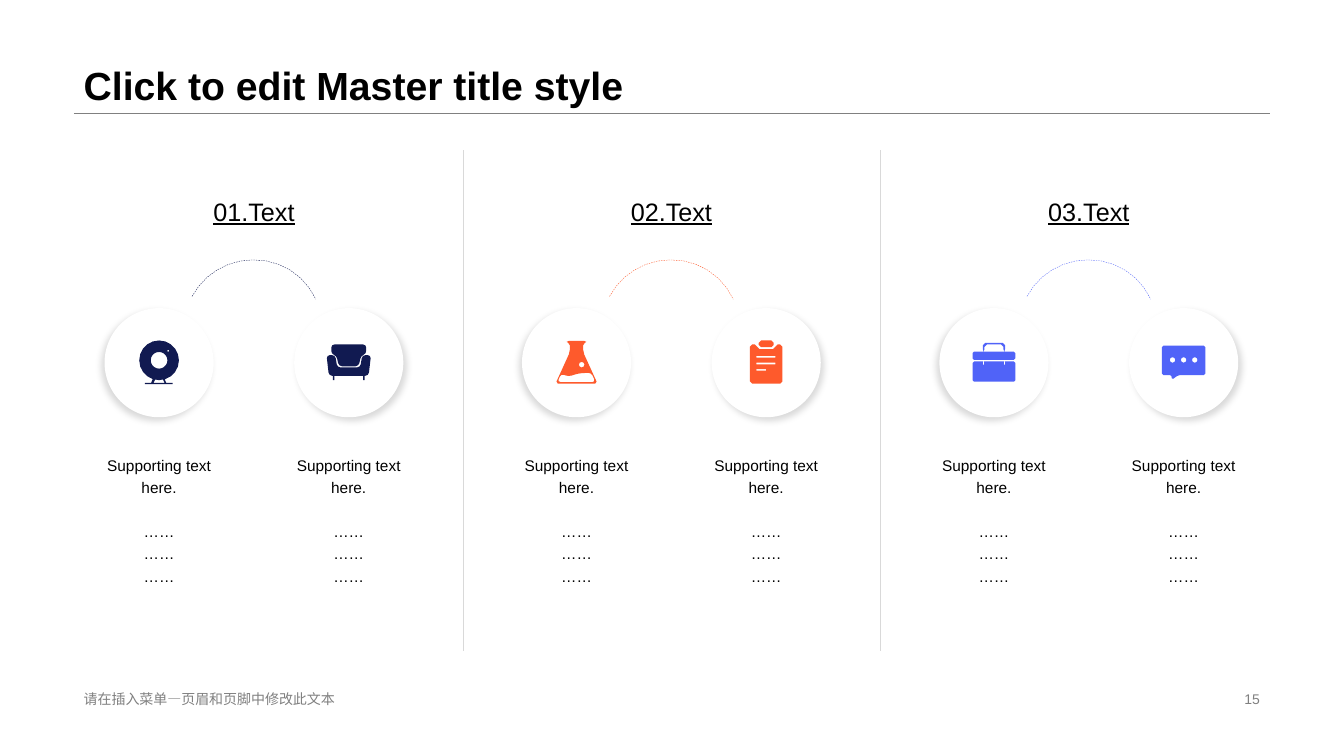
from dataclasses import dataclass
from math import dist

from lxml import etree
from pptx import Presentation
from pptx import util as u
from pptx.dml import color
from pptx.enum import dml, shapes, text
from pptx.oxml import ns

Spot = tuple[float, float]


@dataclass
class Loop:
    """Closed outline with rounded corners, in cm from the disc centre."""
    spots: list[Spot]
    r: float = 0.0


@dataclass
class Part:
    """One third of the slide: heading, colour and two icons."""
    head: str
    hue: str
    icons: list[list[Loop]]


def box(x: float, y: float, right: float, low: float, r: float = 0.0) -> Loop:
    return Loop([(x, y), (right, y), (right, low), (x, low)], r)


def ring(x: float, y: float, r: float) -> Loop:
    return box(x - r, y - r, x + r, y + r, r)


# Icons
BODY = (0, -0.06)
CAMERA = [
    ring(*BODY, 0.5), ring(*BODY, 0.21), ring(0.23, -0.3, 0.03),
    Loop([(-0.16, 0.41), (-0.2, 0.51), (-0.36, 0.51), (-0.36, 0.54),
          (0.34, 0.54), (0.34, 0.51), (0.18, 0.51), (0.14, 0.41),
          (0.1, 0.43), (0.14, 0.51), (-0.14, 0.51), (-0.1, 0.43)]),
]
SOFA = [
    Loop([(-0.56, -0.19), (-0.34, -0.19), (-0.29, 0.12), (0.29, 0.12),
          (0.34, -0.19), (0.56, -0.19), (0.5, 0.33), (-0.5, 0.33)], 0.08),
    Loop([(-0.44, -0.46), (0.44, -0.46), (0.44, -0.22), (0.31, -0.18),
          (0.25, 0.09), (-0.25, 0.09), (-0.31, -0.18), (-0.44, -0.22)], 0.08),
    box(-0.4, 0.33, -0.36, 0.44), box(0.36, 0.33, 0.4, 0.44),
]
FLASK = [
    Loop([(-0.25, -0.55), (0.25, -0.55), (0.25, -0.5), (0.17, -0.5),
          (0.17, -0.26), (0.53, 0.53), (-0.53, 0.53), (-0.17, -0.26),
          (-0.17, -0.5), (-0.25, -0.5)], 0.06),
    Loop([(-0.39, 0.28), (-0.2, 0.35), (0.05, 0.27), (0.37, 0.25),
          (0.48, 0.49), (-0.48, 0.49)], 0.08),
    ring(0.13, 0.05, 0.07),
]
CLIPBOARD = [
    Loop([(-0.41, -0.46), (-0.23, -0.46), (-0.23, -0.34), (0.23, -0.34),
          (0.23, -0.46), (0.41, -0.46), (0.41, 0.53), (-0.41, 0.53)], 0.06),
    box(-0.19, -0.56, 0.19, -0.39, 0.06),
    box(-0.25, -0.17, 0.23, -0.13), box(-0.25, 0, 0.23, 0.04),
    box(-0.25, 0.16, 0, 0.2),
]
CASE = [
    box(-0.54, -0.03, 0.54, 0.48, 0.04), box(-0.54, -0.28, 0.54, -0.07, 0.04),
    box(-0.28, -0.03, -0.25, 0.05), box(0.25, -0.03, 0.28, 0.05),
    Loop([(-0.28, -0.28), (-0.28, -0.5), (0.28, -0.5), (0.28, -0.28),
          (0.24, -0.28), (0.24, -0.46), (-0.24, -0.46), (-0.24, -0.28)], 0.06),
]
CHAT = [
    Loop([(-0.55, -0.43), (0.55, -0.43), (0.55, 0.31), (-0.13, 0.31),
          (-0.3, 0.43), (-0.3, 0.31), (-0.55, 0.31)], 0.04),
    *[ring(x, -0.07, 0.07) for x in (-0.28, 0, 0.28)],
]
PARTS = [
    Part("01.Text", "111A51", [CAMERA, SOFA]),
    Part("02.Text", "FE5A2C", [FLASK, CLIPBOARD]),
    Part("03.Text", "5063F8", [CASE, CHAT]),
]

# Layout in cm
LEFT, RIGHT = 1.86, 32.0
MID, STEP = 6.4, 10.52
PAIR = 2.39
DISC_Y, DISC = 9.14, 2.75
ARC = [[(-1.56, 7.47), (-1.26, 6.91), (-0.67, 6.55), (-0.03, 6.55)],
       [(-0.03, 6.55), (0.65, 6.53), (1.28, 6.93), (1.56, 7.54)]]

deck = Presentation()
deck.slide_width, deck.slide_height = u.Cm(33.87), u.Cm(19.05)
slide = deck.slides.add_slide(deck.slide_layouts[6])
tree = slide.shapes


def rgb(code: str) -> color.RGBColor:
    return color.RGBColor.from_string(code)


def apply(item: object, form: dict) -> None:
    for key, val in form.items():
        setattr(item, key, val)


# Curves
def blend(a: Spot, b: Spot, t: float) -> Spot:
    return a[0] + (b[0] - a[0]) * t, a[1] + (b[1] - a[1]) * t


def curve(ends: list[Spot], count: int) -> list[Spot]:
    spots = []
    for i in range(count + 1):
        row = ends
        while len(row) > 1:
            row = [blend(a, b, i / count) for a, b in zip(row, row[1:])]
        spots += row
    return spots


def soften(loop: Loop) -> list[Spot]:
    if not loop.r:
        return loop.spots
    count = 1 if loop.r < 0.07 else 2 if loop.r < 0.2 else 5
    spots = []
    for i, tip in enumerate(loop.spots):
        ends = loop.spots[i - 1], loop.spots[(i + 1) % len(loop.spots)]
        a, b = (blend(tip, end, min(loop.r / dist(tip, end), 0.5)) for end in ends)
        spots += curve([a, blend(a, tip, 0.55), blend(b, tip, 0.55), b], count)
    return [b for a, b in zip(spots[-1:] + spots, spots) if dist(a, b) > 0.001]


def trace(runs: list[list[Spot]], x: float, y: float, close: bool):
    rows = [[(u.Cm(x + a), u.Cm(y + b)) for a, b in run] for run in runs]
    pen = tree.build_freeform(*rows[0][0])
    for i, row in enumerate(rows):
        if i:
            pen.move_to(*row[0])
        pen.add_line_segments(row[1:], close=close)
    form = pen.convert_to_shape()
    form.shadow.inherit = False
    return form


# Drawing
def rule(x: float, y: float, right: float, low: float, hue: str) -> None:
    line = tree.add_connector(shapes.MSO_CONNECTOR.STRAIGHT,
                              *map(u.Cm, (x, y, right, low)))
    line.line.color.rgb = rgb(hue)
    line.line.width = u.Pt(0.25)
    etree.SubElement(line.element.spPr, ns.qn("a:effectLst"))


def write(place: Spot, size: Spot, lines: list[str], points: float,
          hue: str = "000000", font: dict = {}, para: dict = {},
          anchor=text.MSO_ANCHOR.MIDDLE):
    frame = tree.add_textbox(*map(u.Cm, (*place, *size))).text_frame
    apply(frame, {"word_wrap": True, "vertical_anchor": anchor})
    frame.text = "\n".join(lines)
    for row in frame.paragraphs:
        apply(row, para)
        for run in row.runs:
            apply(run.font, {"name": "Arial", "size": u.Pt(points), **font})
            run.font.color.rgb = rgb(hue)
    return frame


def disc(x: float, angle: int) -> None:
    form = tree.add_shape(shapes.MSO_SHAPE.OVAL, u.Cm(x - DISC / 2),
                          u.Cm(DISC_Y - DISC / 2), u.Cm(DISC), u.Cm(DISC))
    form.fill.solid()
    form.fill.fore_color.rgb = rgb("FFFFFF")
    form.line.fill.background()
    form.shadow.inherit = False
    glow = etree.SubElement(
        form.element.spPr.find(ns.qn("a:effectLst")), ns.qn("a:outerShdw"),
        blurRad=str(u.Pt(5)), dist=str(u.Pt(3)), dir=str(angle * 60000),
        algn="ctr", rotWithShape="0")
    tint = etree.SubElement(glow, ns.qn("a:srgbClr"), val="000000")
    etree.SubElement(tint, ns.qn("a:alpha"), val="15000")


def icon(loops: list[Loop], x: float, hue: str) -> None:
    form = trace([soften(loop) for loop in loops], x, DISC_Y, True)
    form.fill.solid()
    form.fill.fore_color.rgb = rgb(hue)
    form.line.fill.background()


# Title and footer
rule(LEFT, 2.86, RIGHT, 2.86, "808080")
write((LEFT, 0), (RIGHT - LEFT, 2.86), ["Click to edit Master title style"], 28,
      font={"bold": True}, para={"line_spacing": 0.9}, anchor=text.MSO_ANCHOR.BOTTOM)
write((LEFT, 17.33), (11.5, 0.58), ["请在插入菜单—页眉和页脚中修改此文本"], 10, "808080")
write((RIGHT - 8.08, 17.33), (8.08, 0.58), ["15"], 10, "808080",
      para={"alignment": text.PP_ALIGN.RIGHT})

# Three parts
CENTER = {"alignment": text.PP_ALIGN.CENTER}
for n, part in enumerate(PARTS):
    mid = MID + n * STEP
    write((mid - 1.36, 4.7), (2.72, 1.25), [part.head], 18,
          font={"underline": True}, para=CENTER)
    arc = trace([curve(ARC[0], 6) + curve(ARC[1], 6)[1:]], mid, 0, False)
    arc.fill.background()
    arc.line.color.rgb = rgb(part.hue)
    apply(arc.line, {"width": u.Pt(0.25), "dash_style": dml.MSO_LINE.DASH})
    for x, angle, loops in zip((mid - PAIR, mid + PAIR), (135, 45), part.icons):
        disc(x, angle)
        icon(loops, x, part.hue)
        note = write((x - 2.03, 11.28), (4.06, 5.21),
                     ["Supporting text here."] + ["……"] * 3, 11,
                     para={**CENTER, "line_spacing": 1.2},
                     anchor=text.MSO_ANCHOR.TOP)
        note.paragraphs[1].space_before = u.Pt(15.5)
    if n:
        side = mid - STEP / 2
        rule(side, 3.78, side, 16.41, "D9D9D9")

deck.save("out.pptx")
